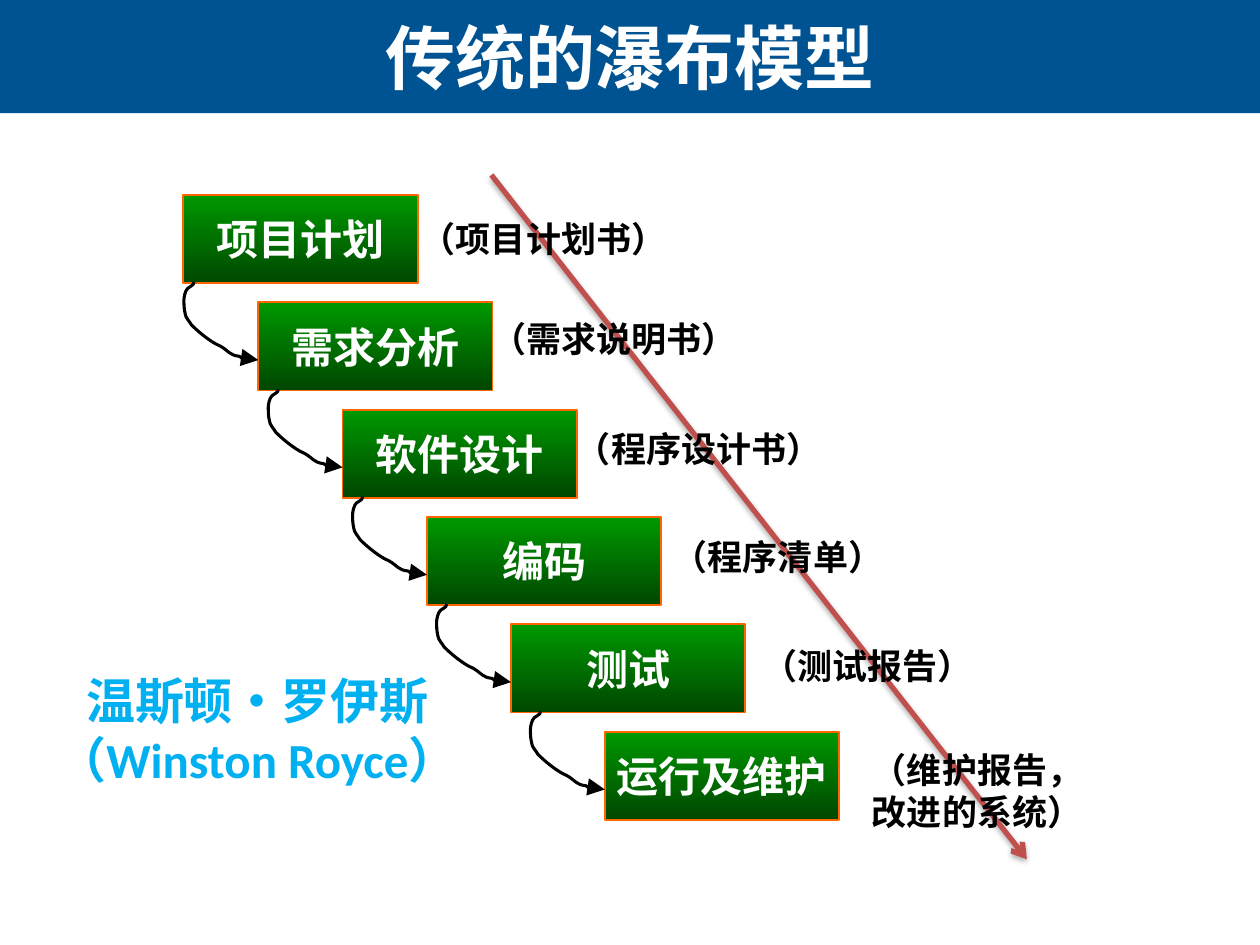
from lxml.etree import SubElement
from pptx import Presentation
from pptx.dml.color import RGBColor
from pptx.enum.shapes import MSO_CONNECTOR, MSO_SHAPE
from pptx.enum.text import MSO_ANCHOR, PP_ALIGN
from pptx.oxml.ns import qn
from pptx.util import Pt

WHITE = RGBColor(0xFF, 0xFF, 0xFF)
BLACK = RGBColor(0, 0, 0)
BAND_BLUE = RGBColor(0x00, 0x53, 0x92)
NAME_BLUE = RGBColor(0x00, 0xB0, 0xF0)
GREEN = RGBColor(0x00, 0x99, 0x00)
DARK_GREEN = RGBColor(0x00, 0x47, 0x00)
ORANGE = RGBColor(0xFF, 0x66, 0x00)
RED = RGBColor(0xC0, 0x50, 0x4D)

LATIN, CHINESE = "Calibri", "Noto Sans CJK SC"
STEP_WIDTH, STEP_HEIGHT, STEP_PITCH = 133.9, 50.4, 61.35

# Step name, left edge of the step, document lines, box of the document label
STEPS = [
    ("项目计划", 104.8, ["（项目计划书）"], (248.4, 116.6, 124.6, 39.6)),
    ("需求分析", 147.6, ["（需求说明书）"], (288.7, 173.5, 124.6, 39.6)),
    ("软件设计", 195.8, ["（程序设计书）"], (337, 236.2, 124.6, 39.6)),
    ("编码", 244, ["（程序清单）"], (382.3, 298.1, 124.6, 39.6)),
    ("测试", 292, ["（测试报告）"], (433.4, 360.7, 124.6, 39.6)),
    ("运行及维护", 345.6, ["（维护报告，", "改进的系统）"], (490.3, 423.4, 136.1, 56.9)),
]

# Bézier chain of a flow arrow: a start, then three points for each curve
FLOW_CURVE = [
    (5.8, 0), (5.8, 0.7), (5, 2.2), (4.3, 2.2), (3.6, 2.9), (2.9, 2.9), (2.2, 3.6),
    (0.7, 5), (0, 8.6), (0, 10.1), (0, 13), (0, 15.1), (0.7, 18),
    (0.7, 20.2), (3.6, 23), (4.3, 24.5), (7.9, 28.1), (13, 32.4), (18, 35.3),
    (18.7, 36), (20.2, 36), (20.9, 36.7), (25.9, 39.6), (25.9, 41.8), (31.7, 42.5),
    (34.6, 44.6), (38.2, 44.6), (42.5, 44.6),
]


def points(box):
    return [Pt(length) for length in box]


def write_lines(shape, lines, size, color, font=LATIN, anchor=MSO_ANCHOR.MIDDLE, wrap=False):
    frame = shape.text_frame
    frame.word_wrap = wrap
    frame.vertical_anchor = anchor
    for index, line in enumerate(lines):
        paragraph = frame.add_paragraph() if index else frame.paragraphs[0]
        paragraph.alignment = PP_ALIGN.CENTER
        run = paragraph.add_run()
        run.text = line
        run.font.size, run.font.bold, run.font.name = Pt(size), True, font
        run.font.color.rgb = color
        SubElement(run.font._element, qn("a:ea"), typeface=CHINESE)


def add_text(slide, box, lines, size, color, **options):
    write_lines(slide.shapes.add_textbox(*points(box)), lines, size, color, **options)


def add_rectangle(slide, box):
    rectangle = slide.shapes.add_shape(MSO_SHAPE.RECTANGLE, *points(box))
    rectangle.shadow.inherit = False
    return rectangle


def add_arrowhead(line, kind, size="med"):
    SubElement(line._get_or_add_ln(), qn("a:tailEnd"), type=kind, w=size, len=size)


def add_title_band(slide, box, title):
    band = add_rectangle(slide, box)
    band.fill.solid()
    band.fill.fore_color.rgb = BAND_BLUE
    band.line.fill.background()
    add_text(slide, box, [title], 40, WHITE, font=CHINESE, wrap=True)


def add_trend_arrow(slide, start, end):
    """Draw the red diagonal with its soft shadow."""
    arrow = slide.shapes.add_connector(MSO_CONNECTOR.STRAIGHT, *points(start + end))
    arrow.line.color.rgb = RED
    arrow.line.width = Pt(3)
    add_arrowhead(arrow.line, "arrow")
    effects = SubElement(arrow._element.spPr, qn("a:effectLst"))
    shadow = SubElement(effects, qn("a:outerShdw"), blurRad=str(Pt(3.1)),
                        dist=str(Pt(1.8)), dir="5400000", rotWithShape="0")
    color = SubElement(shadow, qn("a:srgbClr"), val=str(BLACK))
    SubElement(color, qn("a:alpha"), val="35000")


def add_step(slide, box, name):
    step = add_rectangle(slide, box)
    step.fill.gradient()
    step.fill.gradient_angle = 270
    for stop, color, position in zip(step.fill.gradient_stops, (GREEN, DARK_GREEN), (0, 1)):
        stop.color.rgb = color
        stop.position = position
    step.line.color.rgb = ORANGE
    step.line.width = Pt(1)
    write_lines(step, [name], 24, WHITE)


def add_document_label(slide, box, lines):
    """Write a label on a clear rectangle, whose text may run past its sides."""
    label = add_rectangle(slide, box)
    label.fill.background()
    label.line.fill.background()
    write_lines(label, lines, 20, BLACK)


def bend_segments(freeform, controls):
    """Turn each straight segment of the outline into a cubic Bézier curve."""
    for index, segment in enumerate(list(freeform._element.iter(qn("a:lnTo")))):
        segment.tag = qn("a:cubicBezTo")
        segment.remove(segment[0])
        for x, y in controls[1 + 3 * index:4 + 3 * index]:
            SubElement(segment, qn("a:pt"), x=str(Pt(x)), y=str(Pt(y)))


def add_flow_arrow(slide, end_x, end_y):
    """Draw the curved arrow that ends at the given point."""
    last_x, last_y = FLOW_CURVE[-1]
    start, *rest = [(Pt(end_x - last_x + x), Pt(end_y - last_y + y))
                    for x, y in FLOW_CURVE[::3]]
    builder = slide.shapes.build_freeform(*start)
    builder.add_line_segments(rest, close=False)
    arrow = builder.convert_to_shape()
    bend_segments(arrow, FLOW_CURVE)
    arrow.shadow.inherit = False
    arrow.fill.background()
    arrow.line.color.rgb = BLACK
    arrow.line.width = Pt(1.75)
    add_arrowhead(arrow.line, "triangle", "lg")


def add_waterfall(slide, top):
    for index, (name, left, documents, label_box) in enumerate(STEPS):
        step_top = top + index * STEP_PITCH
        add_step(slide, (left, step_top, STEP_WIDTH, STEP_HEIGHT), name)
        if index:
            add_flow_arrow(slide, left, step_top + 33)
        add_document_label(slide, label_box, documents)


def main():
    presentation = Presentation()
    presentation.slide_width, presentation.slide_height = Pt(720), Pt(540)
    slide = presentation.slides.add_slide(presentation.slide_layouts[6])
    slide.background.fill.solid()
    slide.background.fill.fore_color.rgb = WHITE

    add_title_band(slide, (0, 0, 720, 64.6), "传统的瀑布模型")
    add_trend_arrow(slide, (280.8, 100), (586.8, 491))
    add_text(slide, (20, 379.8, 254.2, 74.9), ["温斯顿•罗伊斯", "（Winston Royce）"],
             28, NAME_BLUE, anchor=MSO_ANCHOR.TOP, wrap=True)
    add_waterfall(slide, 111.4)
    presentation.save("out.pptx")


if __name__ == "__main__":
    main()
